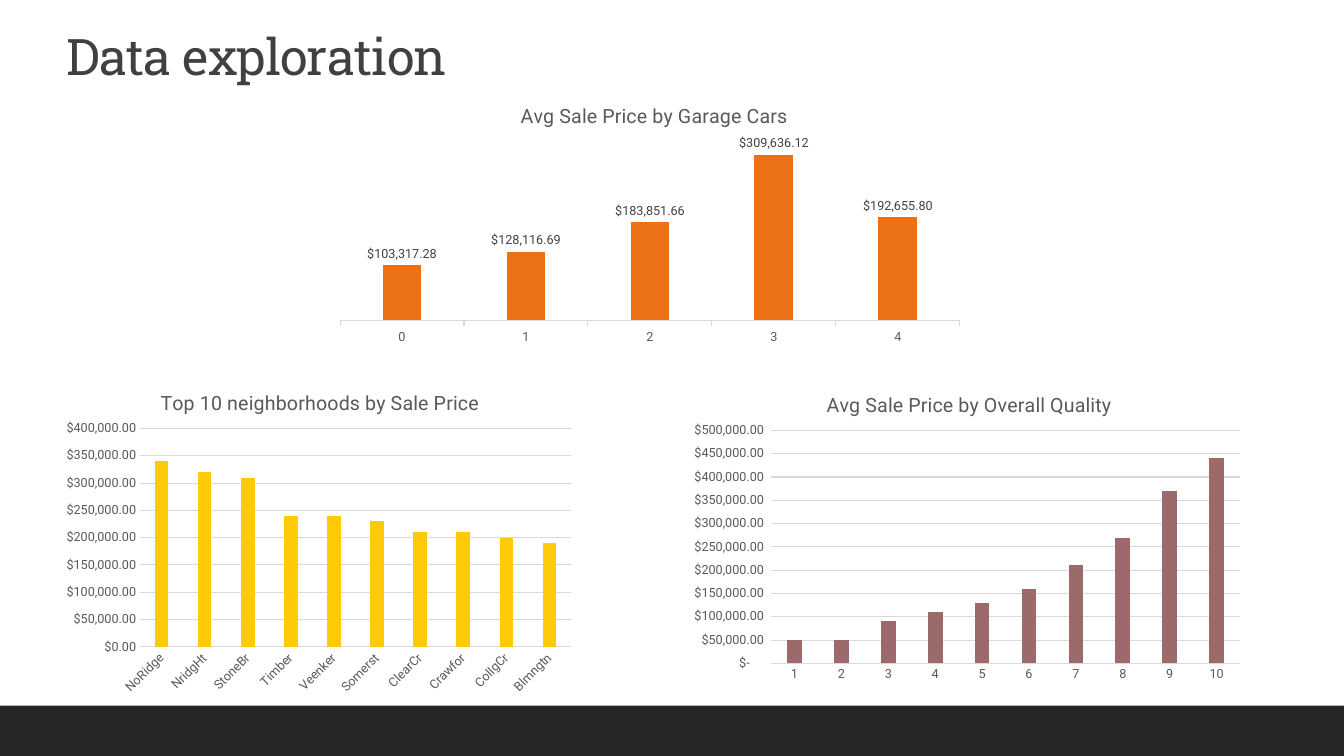
import pptx
import pptx.chart.data
import pptx.dml.color
import pptx.enum.chart
import pptx.enum.shapes
import pptx.enum.text
import pptx.oxml
import pptx.oxml.ns
import pptx.util

RGB = pptx.dml.color.RGBColor
WHITE = RGB(0xFF, 0xFF, 0xFF)
BLACK = RGB(0x00, 0x00, 0x00)
CHARCOAL = RGB(0x26, 0x26, 0x26)
DARK_GREY = RGB(0x40, 0x40, 0x40)
MID_GREY = RGB(0x59, 0x59, 0x59)
LIGHT_GREY = RGB(0xD9, 0xD9, 0xD9)
YELLOW = RGB(0xFF, 0xCA, 0x08)
ORANGE = RGB(0xEC, 0x70, 0x16)
MAUVE = RGB(0x9C, 0x6A, 0x6A)

DOLLARS = '"$"#,##0.00'
ACCOUNTING = '_("$"* #,##0.00_);_("$"* \\(#,##0.00\\);_("$"* "-"??_);_(@_)'
TICK = pptx.enum.chart.XL_TICK_MARK


class Deck:
    """Slide builder; every area is (left, top, width, height) in percent of the slide."""

    body_font = "Roboto"
    heading_font = "Roboto Slab"

    def __init__(self, width, height):
        self.presentation = pptx.Presentation()
        self.width = self.presentation.slide_width = pptx.util.Inches(width)
        self.height = self.presentation.slide_height = pptx.util.Inches(height)
        self.slide = self.presentation.slides.add_slide(self.presentation.slide_layouts[5])
        self.slide.background.fill.solid()
        self.slide.background.fill.fore_color.rgb = WHITE

    def place(self, area):
        """Turn a percent area into lengths."""
        sides = (self.width, self.height, self.width, self.height)
        return [round(side * share / 100) for side, share in zip(sides, area)]

    def style(self, font, size, color, name=None):
        font.size = pptx.util.Pt(size)
        font.color.rgb = color
        font.name = name or self.body_font
        font.bold = False

    def heading(self, text, area):
        title = self.slide.shapes.title
        title.left, title.top, title.width, title.height = self.place(area)
        frame = title.text_frame
        frame.word_wrap = True
        frame.auto_size = pptx.enum.text.MSO_AUTO_SIZE.NONE
        frame.vertical_anchor = pptx.enum.text.MSO_ANCHOR.MIDDLE
        paragraph = frame.paragraphs[0]
        paragraph.alignment = pptx.enum.text.PP_ALIGN.LEFT
        paragraph.line_spacing = 0.9
        run = paragraph.add_run()
        run.text = text
        self.style(run.font, 36, DARK_GREY, self.heading_font)
        run.font._element.set("spc", "-50")

    def band(self, area, color):
        band = self.slide.shapes.add_shape(
            pptx.enum.shapes.MSO_SHAPE.RECTANGLE, *self.place(area))
        band.shadow.inherit = False
        band.fill.solid()
        band.fill.fore_color.rgb = color
        band.line.fill.background()

    def pin(self, part, index, chart_area, area, target=""):
        """Fix a chart part at a slide area of two or four percentages."""
        left, top, width, height = chart_area
        shares = [(area[0] - left) / width, (area[1] - top) / height]
        shares += [share / side for share, side in zip(area[2:], (width, height))]
        modes = "".join(f'<c:{axis}Mode val="edge"/>' for axis in "xy")
        values = "".join(f'<c:{side} val="{share:.4f}"/>'
                         for side, share in zip("xywh", shares))
        for old in part.findall(pptx.oxml.ns.qn("c:layout")):
            part.remove(old)
        part.insert(index, pptx.oxml.parse_xml(
            f'<c:layout {pptx.oxml.ns.nsdecls("c")}><c:manualLayout>'
            f'{target}{modes}{values}</c:manualLayout></c:layout>'))

    def column_chart(self, title, area, title_at, plot_area, prices, color, top_price,
                     step=50000, number_format=ACCOUNTING, labelled=False, slanted=False):
        """Draw a column chart; a labelled one shows values instead of a price axis."""
        data = pptx.chart.data.CategoryChartData(number_format=number_format)
        data.categories = list(prices)
        data.add_series("Series 1", list(prices.values()))
        chart = self.slide.shapes.add_chart(
            pptx.enum.chart.XL_CHART_TYPE.COLUMN_CLUSTERED, *self.place(area), data).chart
        self.style(chart.font, 10, BLACK)
        chart.has_legend = False

        chart.has_title = True
        run = chart.chart_title.text_frame.paragraphs[0].add_run()
        run.text = title
        self.style(run.font, 14, MID_GREY)
        self.pin(chart.chart_title._element, 1, area, title_at)
        self.pin(chart.plots[0]._element.getparent(), 0, area, plot_area,
                 '<c:layoutTarget val="inner"/>')

        plot = chart.plots[0]
        plot.gap_width, plot.overlap, plot.vary_by_categories = 219, -27, False
        columns = plot.series[0]
        columns.invert_if_negative = False
        columns.format.fill.solid()
        columns.format.fill.fore_color.rgb = color

        categories, price_axis = chart.category_axis, chart.value_axis
        for axis in (categories, price_axis):
            axis.major_tick_mark = axis.minor_tick_mark = TICK.NONE
            self.style(axis.tick_labels.font, 9, MID_GREY)
        self.rule(categories.format.line)
        price_axis.minimum_scale, price_axis.maximum_scale = 0, top_price
        price_axis.major_unit = step
        price_axis.tick_labels.number_format = number_format
        price_axis.tick_labels.number_format_is_linked = False
        price_axis.format.line.fill.background()
        price_axis.has_major_gridlines = not labelled
        if slanted:
            body = categories._element.find(".//" + pptx.oxml.ns.qn("a:bodyPr"))
            body.set("rot", "-2700000")
            body.set("vert", "horz")
        if not labelled:
            self.rule(price_axis.major_gridlines.format.line)
            return
        categories.major_tick_mark = TICK.OUTSIDE
        price_axis.visible = False
        labels = columns.data_labels
        labels.show_value = True
        labels.position = pptx.enum.chart.XL_LABEL_POSITION.OUTSIDE_END
        labels.number_format = number_format
        labels.number_format_is_linked = False
        self.style(labels.font, 9, DARK_GREY)

    def rule(self, line):
        line.color.rgb = LIGHT_GREY
        line.width = pptx.util.Pt(0.75)


NEIGHBORHOOD_PRICES = {
    "NoRidge": 340000, "NridgHt": 320000, "StoneBr": 310000, "Timber": 240000,
    "Veenker": 240000, "Somerst": 230000, "ClearCr": 210000, "Crawfor": 210000,
    "CollgCr": 200000, "Blmngtn": 190000,
}
GARAGE_PRICES = {
    "0": 103317.28, "1": 128116.69, "2": 183851.66, "3": 309636.12, "4": 192655.8,
}
QUALITY_PRICES = {
    "1": 50000, "2": 50000, "3": 90000, "4": 110000, "5": 130000,
    "6": 160000, "7": 210000, "8": 270000, "9": 370000, "10": 440000,
}


def main():
    deck = Deck(13.33, 7.5)
    deck.band((0, 93.33, 100, 6.67), CHARCOAL)
    deck.heading("Data exploration", (4.2, 3.6, 82.52, 8.4))
    deck.column_chart(
        "Top 10 neighborhoods by Sale Price", (4.2, 48.67, 39.08, 44.13),
        (11.68, 51), (10.42, 56.68, 32.07, 28.9),
        NEIGHBORHOOD_PRICES, YELLOW, 400000, number_format=DOLLARS, slanted=True)
    deck.column_chart(
        "Avg Sale Price by Garage Cars", (24.38, 10.93, 48.09, 35.33),
        (38.47, 13.03), (25.3, 17.66, 46.13, 24.73),
        GARAGE_PRICES, ORANGE, 350000, labelled=True)
    deck.column_chart(
        "Avg Sale Price by Overall Quality", (50.56, 49.07, 42.54, 42.13),
        (61.24, 51.26), (57.37, 56.94, 34.9, 30.82),
        QUALITY_PRICES, MAUVE, 500000)
    deck.presentation.save("out.pptx")


if __name__ == "__main__":
    main()
